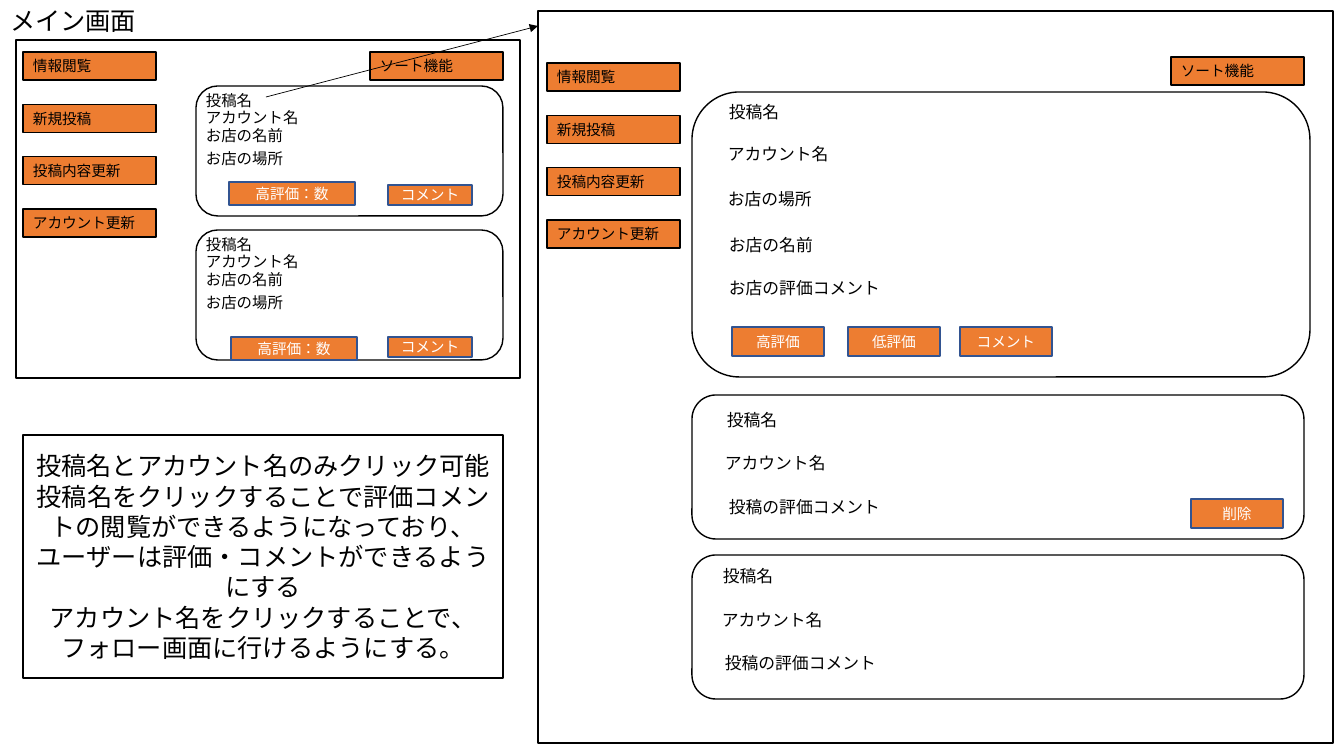
"""Build the wireframe slide of the main screen and the post detail screen."""
from lxml import etree
from pptx import Presentation
from pptx.dml.color import RGBColor
from pptx.enum.shapes import MSO_CONNECTOR, MSO_SHAPE
from pptx.enum.text import MSO_ANCHOR, MSO_AUTO_SIZE, PP_ALIGN
from pptx.oxml.ns import qn
from pptx.util import Pt

RECT, ROUND = MSO_SHAPE.RECTANGLE, MSO_SHAPE.ROUNDED_RECTANGLE
STRAIGHT = MSO_CONNECTOR.STRAIGHT
TOP, MIDDLE = MSO_ANCHOR.TOP, MSO_ANCHOR.MIDDLE
LEFT, CENTER = PP_ALIGN.LEFT, PP_ALIGN.CENTER
NO_FIT = MSO_AUTO_SIZE.NONE

FONT = "Noto Sans CJK JP"
COLORS = {"ink": "000000", "paper": "FFFFFF", "orange": "ED7D31", "edge": "325491"}
EMU_PER_PX = 914400 / 100.8

TITLE = "メイン画面"
MENU = ["情報閲覧", "新規投稿", "投稿内容更新", "アカウント更新"]
SORT = "ソート機能"
MENU_SIZE, MENU_STEP = (133, 28), 52.4

DETAIL = {
    "panel": (538, 11, 795, 732), "menu": (547, 63), "sort": (1171, 57),
    "field_size": (297, 30), "field_pt": 12,
    "cards": [
        ((692, 92, 618, 285),
         [("投稿名", 719, 97), ("アカウント名", 718, 139), ("お店の場所", 718, 184),
          ("お店の名前", 719, 230), ("お店の評価コメント", 719, 273)],
         [("高評価", 732, 327, 92, 29), ("低評価", 848, 327, 92, 29),
          ("コメント", 960, 327, 92, 29)]),
        ((692, 395, 612, 144),
         [("投稿名", 717, 405), ("アカウント名", 715, 448), ("投稿の評価コメント", 719, 492)],
         [("削除", 1191, 499, 92, 29)]),
        ((692, 555, 612, 144),
         [("投稿名", 713, 561), ("アカウント名", 712, 605), ("投稿の評価コメント", 715, 648)],
         []),
    ],
}

POST_FIELDS = [("投稿名", 0), ("アカウント名", 17), ("お店の名前", 35), ("お店の場所", 58)]
POSTS = [(86, (229, 182), (388, 185)), (230, (231, 337), (388, 337))]
MAIN = {
    "panel": (16, 40, 504, 338), "menu": (23, 52), "sort": (370, 52),
    "field_size": (121, 29), "field_pt": 11,
    "cards": [
        ((196, top, 307, 130),
         [(field, 196, top + drop) for field, drop in POST_FIELDS],
         [("高評価：数", *like, 126, 23), ("コメント", *comment, 84, 20)])
        for top, like, comment in POSTS
    ],
}

NOTE_BOX = (23, 435, 480, 243)
NOTE = [
    "投稿名とアカウント名のみクリック可能",
    "投稿名をクリックすることで評価コメントの閲覧ができるようになっており、"
    "ユーザーは評価・コメントができるようにする",
    "アカウント名をクリックすることで、フォロー画面に行けるようにする。",
]
POST_TO_DETAIL = (266, 97, 538, 26)


def px(*lengths):
    return [round(length * EMU_PER_PX) for length in lengths]


def rgb(name):
    return RGBColor.from_string(COLORS[name])


def write(frame, paragraphs, size, color="ink", align=LEFT, anchor=TOP):
    frame.word_wrap = True
    frame.auto_size = NO_FIT
    frame.vertical_anchor = anchor
    for index, words in enumerate(paragraphs):
        paragraph = frame.add_paragraph() if index else frame.paragraphs[0]
        paragraph.alignment = align
        run = paragraph.add_run()
        run.text = words
        run.font.size = Pt(size)
        run.font.name = FONT
        run.font.color.rgb = rgb(color)
        properties = run.font._element
        properties.set("lang", "ja-JP")
        etree.SubElement(properties, qn("a:ea")).set("typeface", FONT)


def add_box(box, kind=RECT, fill="paper", line="ink"):
    outline = slide.shapes.add_shape(kind, *px(*box))
    outline.shadow.inherit = False
    outline.fill.solid()
    outline.fill.fore_color.rgb = rgb(fill)
    outline.line.color.rgb = rgb(line)
    outline.line.width = Pt(1)
    return outline.text_frame


def add_screen(screen):
    add_box(screen["panel"])
    left, top = screen["menu"]
    entries = [(label, left, top + row * MENU_STEP) for row, label in enumerate(MENU)]
    for label, *corner in entries + [(SORT, *screen["sort"])]:
        write(add_box((*corner, *MENU_SIZE), fill="orange"), [label], 10.5)
    for card, fields, buttons in screen["cards"]:
        add_box(card, ROUND)
        for label, *corner in fields:
            field = slide.shapes.add_textbox(*px(*corner, *screen["field_size"]))
            write(field.text_frame, [label], screen["field_pt"])
        for label, *button in buttons:
            write(add_box(button, fill="orange", line="edge"), [label], 10.5,
                  "paper", CENTER, MIDDLE)


deck = Presentation()
deck.slide_width, deck.slide_height = px(1344, 756)
slide = deck.slides.add_slide(deck.slide_layouts[5])

title = slide.shapes.title
title.left, title.top, title.width, title.height = px(0, 0, 391, 40)
write(title.text_frame, [TITLE], 18)

add_screen(DETAIL)
add_screen(MAIN)

arrow = slide.shapes.add_connector(STRAIGHT, *px(*POST_TO_DETAIL))
arrow.line.color.rgb = rgb("ink")
arrow.line.width = Pt(0.5)
etree.SubElement(arrow.line._get_or_add_ln(), qn("a:tailEnd")).set("type", "triangle")
etree.SubElement(arrow._element.spPr, qn("a:effectLst"))

write(add_box(NOTE_BOX), NOTE, 18, align=CENTER, anchor=MIDDLE)

deck.save("out.pptx")
